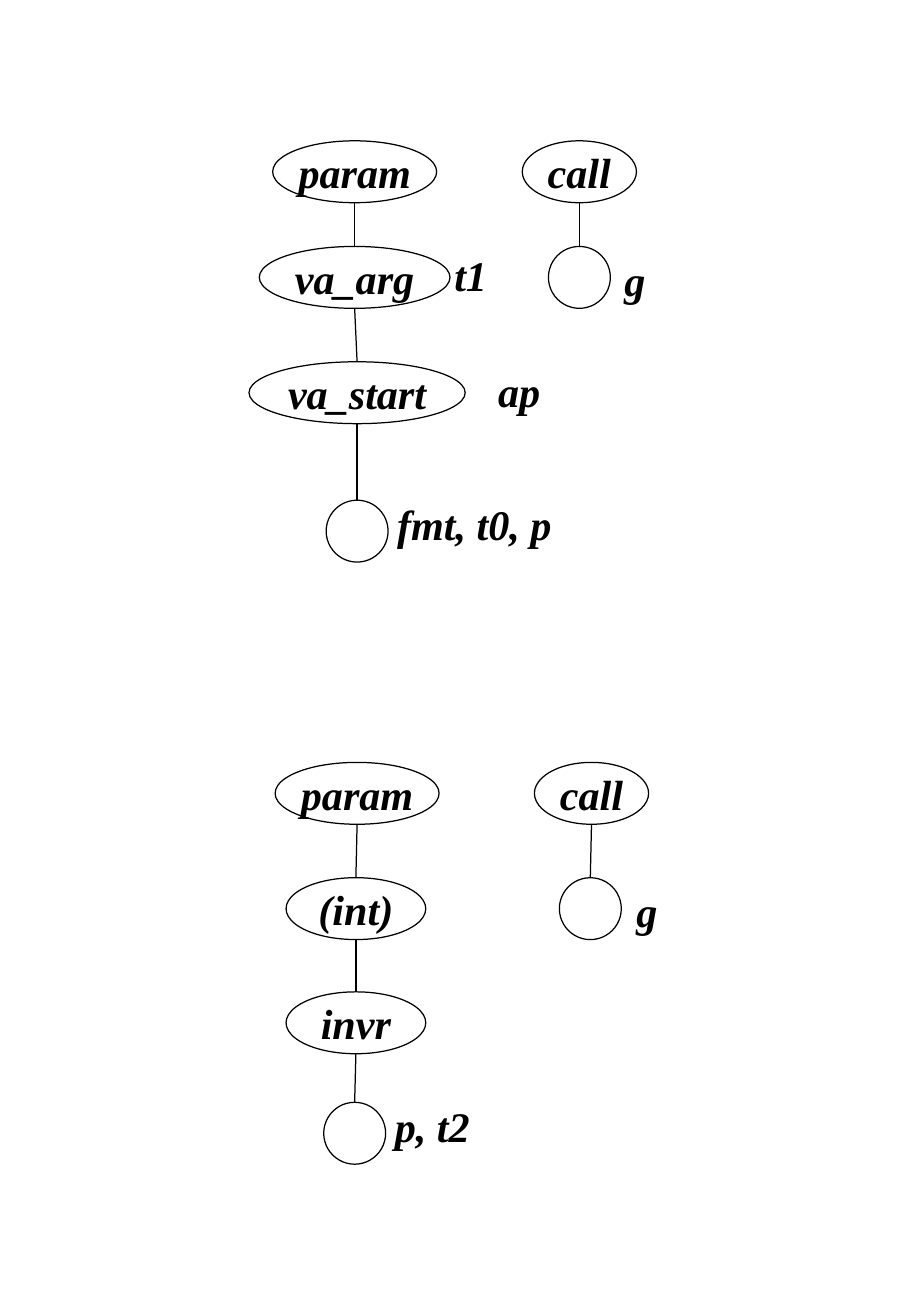
from dataclasses import dataclass
from typing import Optional

from lxml.etree import SubElement
from pptx import Presentation
from pptx.dml.color import RGBColor
from pptx.enum.shapes import MSO_CONNECTOR, MSO_SHAPE
from pptx.enum.text import MSO_ANCHOR, PP_ALIGN
from pptx.oxml.ns import qn
from pptx.slide import Slide
from pptx.text.text import TextFrame
from pptx.util import Inches, Pt

INK = "000000"
NODE_HEIGHT = 0.51
LABEL_HEIGHT = 0.47


@dataclass
class Label:
    text: str
    left: float
    top: float
    width: float


@dataclass
class Node:
    center: float
    top: float
    width: float = NODE_HEIGHT
    text: str = ""
    label: Optional[Label] = None


CHAINS: list[list[Node]] = [
    [
        Node(2.92, 1.16, 1.35, "param"),
        Node(2.92, 2.03, 1.57, "va_arg", Label("t1", 3.63, 2.03, 0.55)),
        Node(2.94, 2.98, 1.78, "va_start", Label("ap", 3.99, 2.98, 0.65)),
        Node(2.94, 4.12, label=Label("fmt, t0, p", 3.16, 4.08, 1.6)),
    ],
    [
        Node(4.77, 1.16, 0.94, "call"),
        Node(4.77, 2.03, label=Label("g", 5.03, 2.07, 0.43)),
    ],
    [
        Node(2.94, 6.28, 1.35, "param"),
        Node(2.93, 7.23, 1.15, "(int)"),
        Node(2.93, 8.17, 1.15, "invr"),
        Node(2.92, 9.08, label=Label("p, t2", 3.14, 9.04, 0.95)),
    ],
    [
        Node(4.87, 6.28, 0.94, "call"),
        Node(4.86, 7.23, label=Label("g", 5.13, 7.27, 0.43)),
    ],
]


def color(value: str) -> RGBColor:
    return RGBColor.from_string(value)


def write_text(frame: TextFrame, text: str, align: PP_ALIGN, side: float) -> None:
    frame.text = text
    frame.vertical_anchor = MSO_ANCHOR.MIDDLE
    frame.margin_left = frame.margin_right = Inches(side)
    frame.margin_top = frame.margin_bottom = Inches(0.05)
    para = frame.paragraphs[0]
    para.alignment = align
    for span in para.runs:
        span.font.name = "Times New Roman"
        span.font.size = Pt(25)
        span.font.bold = span.font.italic = True
        span.font.color.rgb = color(INK)


def draw_node(slide: Slide, node: Node) -> None:
    ellipse = slide.shapes.add_shape(
        MSO_SHAPE.OVAL, Inches(node.center - node.width / 2), Inches(node.top),
        Inches(node.width), Inches(NODE_HEIGHT))
    ellipse.shadow.inherit = False
    ellipse.fill.background()
    ellipse.line.color.rgb = color(INK)
    ellipse.line.width = Pt(0.75)
    if node.text:
        ellipse.text_frame.word_wrap = False
        write_text(ellipse.text_frame, node.text, PP_ALIGN.CENTER, 0.1)


def draw_label(slide: Slide, label: Label) -> None:
    box = slide.shapes.add_textbox(
        Inches(label.left), Inches(label.top), Inches(label.width), Inches(LABEL_HEIGHT))
    box.text_frame.word_wrap = True
    write_text(box.text_frame, label.text, PP_ALIGN.LEFT, 0.11)


def draw_edge(slide: Slide, parent: Node, child: Node) -> None:
    edge = slide.shapes.add_connector(
        MSO_CONNECTOR.STRAIGHT, Inches(parent.center), Inches(parent.top + NODE_HEIGHT),
        Inches(child.center), Inches(child.top))
    edge.line.color.rgb = color(INK)
    edge.line.width = Pt(0.75)
    SubElement(edge._element.spPr, qn("a:effectLst"))


def main() -> None:
    deck = Presentation()
    deck.slide_width, deck.slide_height = Inches(7.5), Inches(10.84)
    page = deck.slides.add_slide(deck.slide_layouts[6])
    for chain in CHAINS:
        for parent, child in zip(chain, chain[1:]):
            draw_edge(page, parent, child)
        for node in chain:
            draw_node(page, node)
            if node.label:
                draw_label(page, node.label)
    deck.save("out.pptx")


if __name__ == "__main__":
    main()
